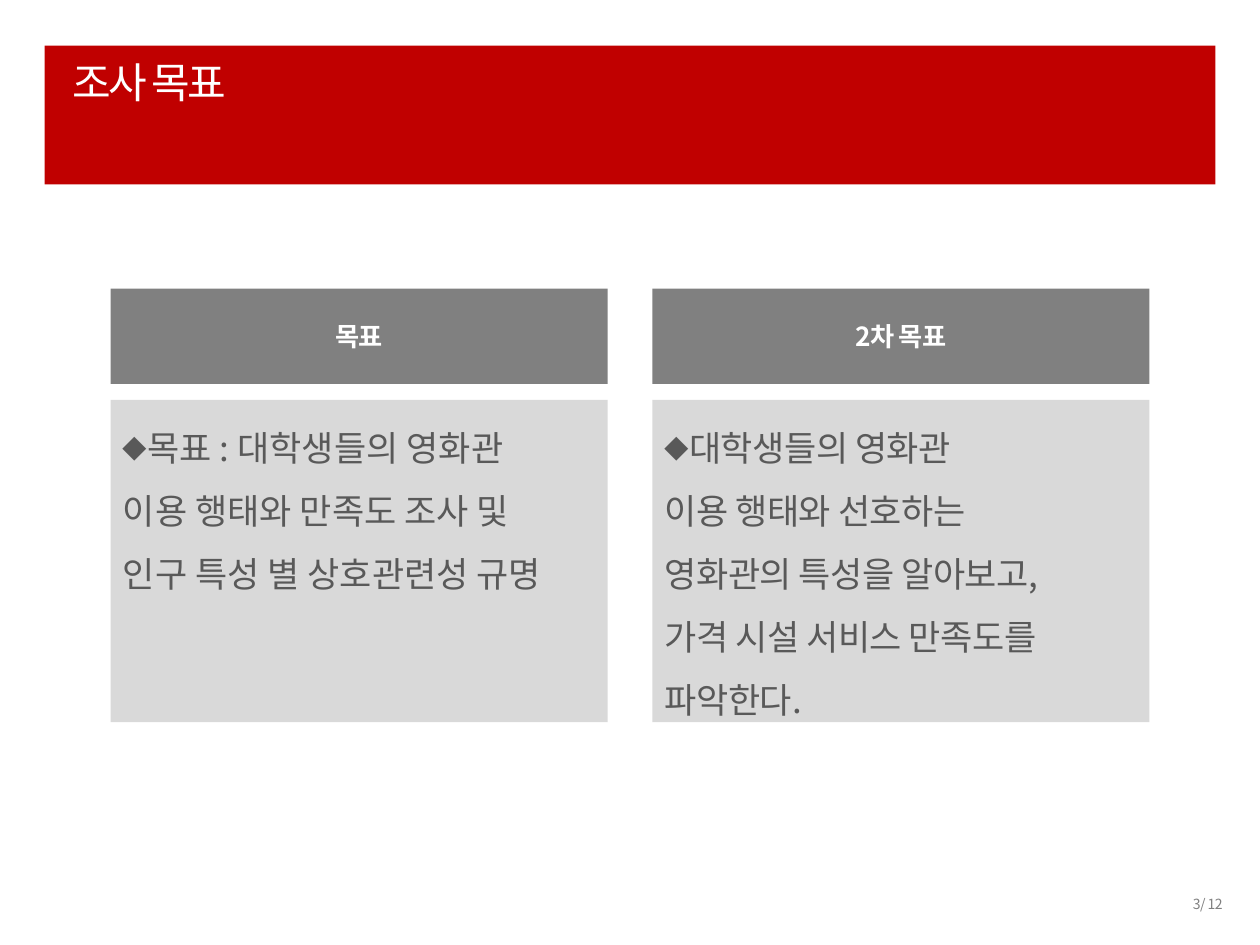
from pptx import Presentation
from pptx.dml.color import RGBColor
from pptx.enum.shapes import MSO_SHAPE
from pptx.enum.text import MSO_ANCHOR, PP_ALIGN
from pptx.util import Cm, Pt
from lxml.etree import SubElement
from pptx.oxml.ns import qn

COLORS = {"red": "C00000", "head": "808080", "body": "D9D9D9",
          "text": "595959", "white": "FFFFFF"}


class Deck:
    font = "Noto Sans CJK KR"

    def __init__(self):
        self.prs = Presentation()
        self.prs.slide_width, self.prs.slide_height = Cm(25.4), Cm(19.05)
        self.s = self.prs.slides.add_slide(self.prs.slide_layouts[6])

    def color(self, name):
        return RGBColor.from_string(COLORS[name])

    def rect(self, x, y, w, h, fill):
        sp = self.s.shapes.add_shape(MSO_SHAPE.RECTANGLE, Cm(x), Cm(y), Cm(w), Cm(h))
        sp.shadow.inherit = False
        sp.fill.solid()
        sp.fill.fore_color.rgb = self.color(fill)
        sp.line.fill.background()
        return sp

    def run(self, p, text, size, color, bold=False, spacing=0):
        r = p.add_run()
        r.text = text
        r.font.size, r.font.bold, r.font.name = Pt(size), bold, self.font
        r.font.color.rgb = self.color(color)
        rPr = r.font._element
        rPr.set("spc", str(spacing))
        rPr.set("kern", "0")
        SubElement(rPr, qn("a:ea")).set("typeface", self.font)

    def label(self, x, y, w, h, text, size, color, spacing, align=PP_ALIGN.LEFT):
        tf = self.s.shapes.add_textbox(Cm(x), Cm(y), Cm(w), Cm(h)).text_frame
        tf.word_wrap = True
        p = tf.paragraphs[0]
        p.alignment = align
        self.run(p, text, size, color, spacing=spacing)

    def header(self, x, y, w, h, text):
        tf = self.rect(x, y, w, h, "head").text_frame
        tf.vertical_anchor = MSO_ANCHOR.MIDDLE
        p = tf.paragraphs[0]
        p.alignment = PP_ALIGN.CENTER
        self.run(p, text, 15, "white", bold=True, spacing=-50)

    def bullet(self, p):
        pPr = p._p.get_or_add_pPr()
        SubElement(pPr, qn("a:buSzPct")).set("val", "70000")
        SubElement(pPr, qn("a:buFont")).set("typeface", self.font)
        SubElement(pPr, qn("a:buChar")).set("char", "◆")

    def body(self, x, y, w, h, paragraphs, spacing):
        tf = self.rect(x, y, w, h, "body").text_frame
        tf.word_wrap = True
        tf.vertical_anchor = MSO_ANCHOR.TOP
        for i, lines in enumerate(paragraphs):
            p = tf.add_paragraph() if i else tf.paragraphs[0]
            p.alignment = PP_ALIGN.LEFT
            p.line_spacing = 1.5
            if i == 0:
                self.bullet(p)
            for j, line in enumerate(lines):
                if j:
                    p.add_line_break()
                self.run(p, line, 20, "text", spacing=spacing)


def main():
    d = Deck()
    d.rect(0.9, 0.92, 23.6, 2.8, "red")
    d.label(20.5, 17.93, 4.4, 0.6, "3/ 12", 8, "head", -30, PP_ALIGN.RIGHT)
    d.label(1.22, 1.01, 22.86, 2.8, "조사 목표", 24, "white", -150)
    goals = [
        ("목표", 0, [["목표 : 대학생들의 영화관"],
                   ["이용 행태와 만족도 조사 및", "인구 특성 별 상호관련성 규명"]]),
        ("2차 목표", -30, [["대학생들의 영화관"], ["이용 행태와 선호하는"],
                       ["영화관의 특성을 알아보고,", "가격 시설 서비스 만족도를", "파악한다."]]),
    ]
    for i, (title, spacing, paragraphs) in enumerate(goals):
        x = 2.23 + i * 10.92
        d.header(x, 5.82, 10.02, 1.92, title)
        d.body(x, 8.06, 10.02, 6.5, paragraphs, spacing)
    d.prs.save("out.pptx")


if __name__ == "__main__":
    main()
